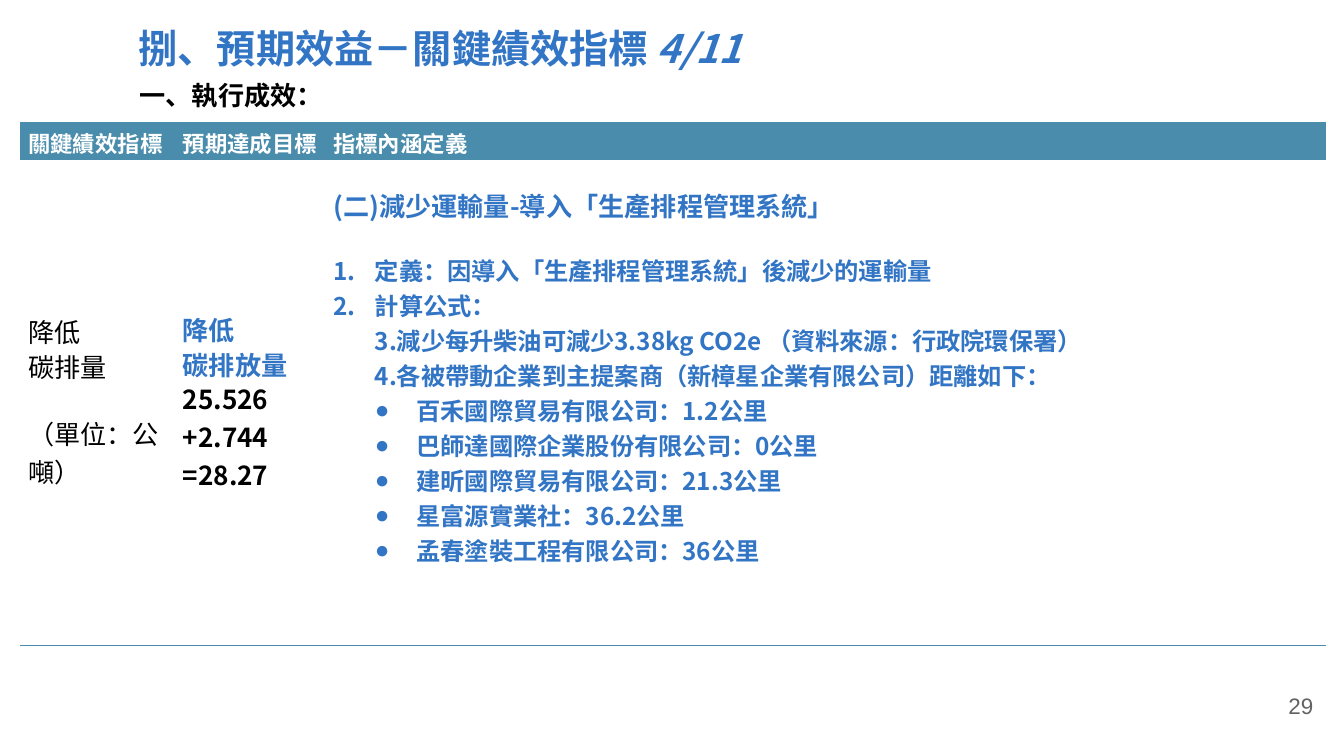
from lxml.etree import SubElement
from pptx import Presentation
from pptx.dml.color import RGBColor
from pptx.enum.text import MSO_ANCHOR, MSO_AUTO_SIZE, PP_ALIGN
from pptx.oxml.ns import qn
from pptx.util import Inches, Pt

BLACK = RGBColor(0x00, 0x00, 0x00)
WHITE = RGBColor(0xFF, 0xFF, 0xFF)
BLUE = RGBColor(0x32, 0x75, 0xC5)
TEAL = RGBColor(0x4A, 0x8C, 0xAC)
GREY = RGBColor(0x63, 0x62, 0x63)
FONT = "Noto Sans CJK SC"
TIGHT = 0.91
GAP = 16
STEP = 0.31
NO_GRID_STYLE = "{2D5ABB26-0587-4C30-8999-92F81FD0307C}"

HEADINGS = ["關鍵績效指標", "預期達成目標", "指標內涵定義"]
DISTANCES = [
    "百禾國際貿易有限公司：1.2公里",
    "巴師達國際企業股份有限公司：0公里",
    "建昕國際貿易有限公司：21.3公里",
    "星富源實業社：36.2公里",
    "孟春塗裝工程有限公司：36公里",
]


def add_text(paragraph, text, size=14, color=BLACK, bold=True, italic=False, font=FONT):
    """Append a formatted run to the paragraph."""
    run = paragraph.add_run()
    run.text = text
    run.font.size = Pt(size)
    run.font.bold = bold
    run.font.italic = italic
    run.font.color.rgb = color
    run.font.name = font
    SubElement(run.font._element, qn("a:ea"), typeface=font)


def set_list(paragraph, left, hanging, tag, **marker):
    """Give the paragraph an indent and a bullet or number."""
    properties = paragraph._p.get_or_add_pPr()
    properties.set("marL", str(Inches(left)))
    properties.set("indent", str(-Inches(hanging)))
    if tag == "a:buChar":
        SubElement(properties, qn("a:buFont"), typeface="Arial")
    SubElement(properties, qn(tag), **marker)


def add_paragraph(frame, text, spacing=None, before=0, **style):
    """Add a paragraph, using the first one while it is empty."""
    first = frame.paragraphs[0]
    paragraph = frame.add_paragraph() if first.runs else first
    if spacing:
        paragraph.line_spacing = spacing
    paragraph.space_before = Pt(before)
    add_text(paragraph, text, **style)
    return paragraph


class SlideBuilder:
    """Hold the style and the current slide."""

    def __init__(self, presentation):
        self.slide = presentation.slides.add_slide(presentation.slide_layouts[5])

    def title(self, text, page, left, top, width, height):
        """Fill and place the title with its italic page count."""
        title = self.slide.shapes.title
        title.left, title.top = Inches(left), Inches(top)
        title.width, title.height = Inches(width), Inches(height)
        frame = title.text_frame
        frame.auto_size = MSO_AUTO_SIZE.NONE
        frame.vertical_anchor = MSO_ANCHOR.MIDDLE
        paragraph = add_paragraph(frame, text, size=21, color=BLUE)
        paragraph.alignment = PP_ALIGN.LEFT
        paragraph._p.get_or_add_pPr().set("marL", str(Inches(0.94)))
        add_text(paragraph, page, size=21, color=BLUE, italic=True)

    def label(self, text, left, top, width, height, align=PP_ALIGN.LEFT, **style):
        """Add a one-line text box."""
        box = self.slide.shapes.add_textbox(
            Inches(left), Inches(top), Inches(width), Inches(height))
        box.text_frame.word_wrap = True
        add_paragraph(box.text_frame, text, **style).alignment = align

    def table(self, left, top, widths, heights):
        """Add an unstyled table with a teal header and bottom rule."""
        frame = self.slide.shapes.add_table(
            len(heights), len(widths), Inches(left), Inches(top),
            Inches(sum(widths)), Inches(sum(heights)))
        table = frame.table
        table._tbl.tblPr.find(qn("a:tableStyleId")).text = NO_GRID_STYLE
        for column, width in zip(table.columns, widths):
            column.width = Inches(width)
        for row, height in zip(table.rows, heights):
            row.height = Inches(height)
        for cell in table.iter_cells():
            cell.vertical_anchor = MSO_ANCHOR.MIDDLE
            cell.margin_left = cell.margin_right = Inches(0.06)
            cell.margin_top = cell.margin_bottom = Inches(0.05)
        for column in range(len(widths)):
            header = table.cell(0, column)
            header.fill.solid()
            header.fill.fore_color.rgb = TEAL
            self.bottom_rule(table.cell(1, column))
        return table

    def bottom_rule(self, cell):
        """Draw a teal line under an unfilled cell."""
        cell.fill.background()
        properties = cell._tc.get_or_add_tcPr()
        line = SubElement(properties, qn("a:lnB"), w=str(Pt(1)))
        fill = SubElement(line, qn("a:solidFill"))
        SubElement(fill, qn("a:srgbClr"), val=str(TEAL))
        properties.insert(0, line)


def fill_definition(cell):
    """Write the definition, formula and distances."""
    cell.vertical_anchor = MSO_ANCHOR.TOP
    cell.margin_top = Inches(0.21)
    frame = cell.text_frame
    add_paragraph(frame, "(二)減少運輸量-導入「生產排程管理系統」", spacing=TIGHT, color=BLUE)
    numbered = [
        ("定義：因導入「生產排程管理系統」後減少的運輸量", STEP, GAP),
        ("計算公式：", STEP, 0),
        ("減少每升柴油可減少3.38kg CO2e （資料來源：行政院環保署）", 0, 0),
        ("各被帶動企業到主提案商（新樟星企業有限公司）距離如下：", 0, 0),
    ]
    for text, hanging, before in numbered:
        item = add_paragraph(frame, text, before=before, size=13, color=BLUE)
        set_list(item, STEP, hanging, "a:buAutoNum", type="arabicPeriod")
    for text in DISTANCES:
        item = add_paragraph(frame, text, size=13, color=BLUE)
        set_list(item, 2 * STEP, STEP, "a:buChar", char="●")


def main():
    """Build and save the slide."""
    presentation = Presentation()
    presentation.slide_width = Inches(10)
    presentation.slide_height = presentation.slide_width * 9 // 16
    builder = SlideBuilder(presentation)
    builder.title("捌、預期效益－關鍵績效指標 ", "4/11", -0.01, -0.01, 6.39, 0.73)
    builder.label("一、執行成效：", 0.94, 0.54, 2.87, 0.37)

    table = builder.table(0.15, 0.91, [1.15, 1.12, 7.45], [0.24, 3.61])
    for column, heading in enumerate(HEADINGS):
        add_paragraph(table.cell(0, column).text_frame, heading,
                      spacing=TIGHT, size=12, color=WHITE)

    indicator = table.cell(1, 0).text_frame
    for text in ("降低", "碳排量"):
        add_paragraph(indicator, text, spacing=TIGHT, bold=False)
    add_paragraph(indicator, "（單位：公噸）", before=GAP, bold=False)

    target = table.cell(1, 1).text_frame
    add_paragraph(target, "降低", spacing=TIGHT, color=BLUE)
    emission = add_paragraph(target, "碳排放量", spacing=TIGHT, color=BLUE)
    add_text(emission, "25.526")
    for text in ("+2.744", "=28.27"):
        add_paragraph(target, text)

    fill_definition(table.cell(1, 2))
    builder.label("29", 9.35, 5.1, 0.52, 0.42, align=PP_ALIGN.RIGHT,
                  size=12, color=GREY, bold=False, font="Arial")
    presentation.save("out.pptx")


if __name__ == "__main__":
    main()
